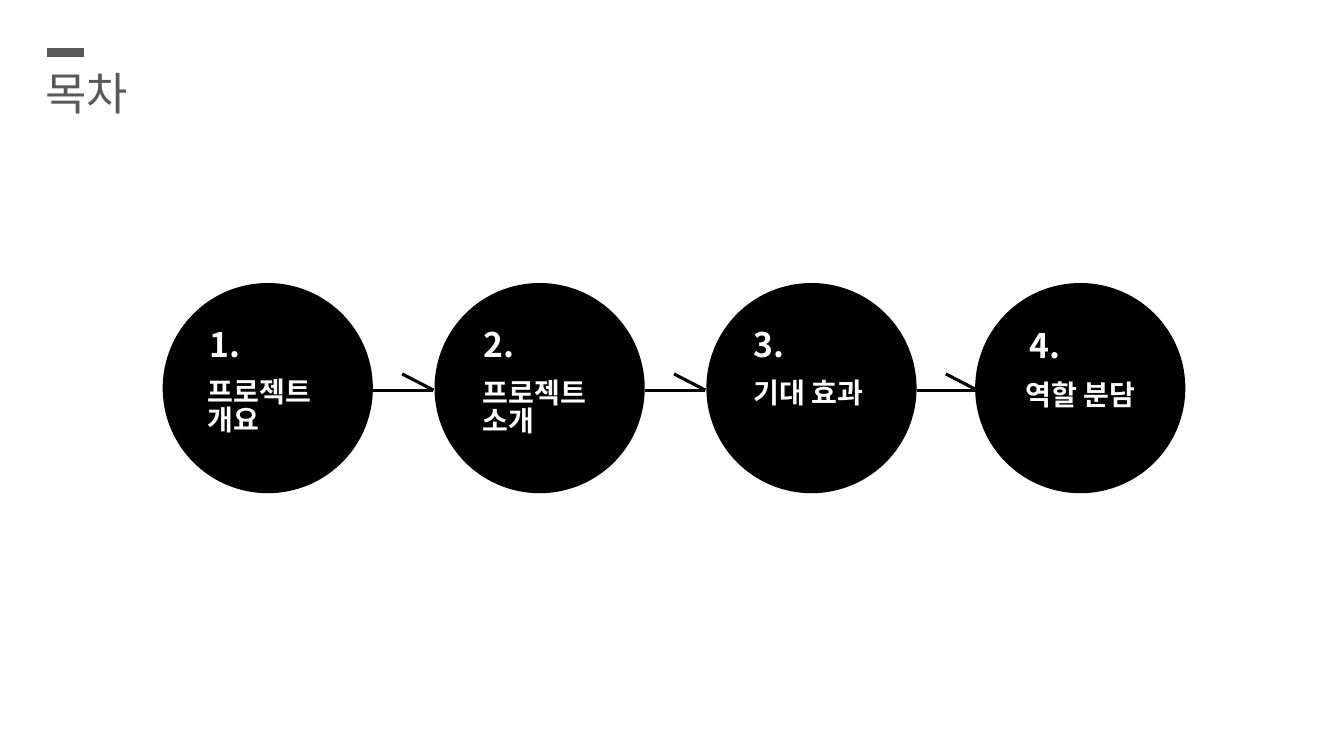
"""Build the contents slide: four numbered circles joined by half arrows."""
from dataclasses import dataclass

from lxml import etree
from pptx import Presentation
from pptx import util as u
from pptx.dml.color import RGBColor
from pptx.enum import shapes, text
from pptx.oxml.ns import qn

COLORS = {"black": "000000", "grey": "595959", "white": "FFFFFF"}
FONT = "Noto Sans CJK KR"
DIAMETER, CIRCLE_TOP = 2.08, 2.8
ARROW_Y, ARROW_LENGTH = 3.86, 0.6
BARB_WIDTH, BARB_HEIGHT = 0.31, 0.16


@dataclass(frozen=True)
class Box:
    """Position and size in inches."""
    left: float
    top: float
    width: float
    height: float


@dataclass(frozen=True)
class Topic:
    """One circle with its number and label lines."""
    left: float
    number: str
    number_box: Box
    lines: tuple[str, ...]
    label_box: Box


TOPICS = (
    Topic(1.61, "1.", Box(1.98, 3.19, 0.74, 0.5),
          ("프로젝트", "개요"), Box(1.96, 3.68, 1.46, 0.77)),
    Topic(4.3, "2.", Box(4.69, 3.19, 0.74, 0.5),
          ("프로젝트", "소개"), Box(4.68, 3.69, 1.49, 0.77)),
    Topic(6.99, "3.", Box(7.36, 3.19, 0.74, 0.5),
          ("기대 효과",), Box(7.36, 3.69, 1.56, 0.44)),
    Topic(9.65, "4.", Box(10.09, 3.2, 0.74, 0.5),
          ("역할 분담",), Box(10.05, 3.71, 1.56, 0.44)),
)


def rgb(name: str) -> RGBColor:
    """Return a named colour."""
    return RGBColor.from_string(COLORS[name])


def place(sp, box: Box) -> None:
    """Move and size a shape."""
    sp.left, sp.top = u.Inches(box.left), u.Inches(box.top)
    sp.width, sp.height = u.Inches(box.width), u.Inches(box.height)


def write(sp, lines: tuple[str, ...], size: int, color: str, bold: bool) -> None:
    """Fill a shape with one paragraph per line."""
    tf = sp.text_frame
    tf.word_wrap = True
    tf.auto_size = text.MSO_AUTO_SIZE.NONE
    tf.vertical_anchor = text.MSO_ANCHOR.TOP
    tf.margin_left = tf.margin_right = u.Inches(0.1)
    tf.margin_top, tf.margin_bottom = u.Inches(0.08), u.Inches(0.05)
    for i, line in enumerate(lines):
        p = tf.add_paragraph() if i else tf.paragraphs[0]
        p.alignment = text.PP_ALIGN.LEFT
        p.line_spacing = 0.83
        p.space_before = u.Pt(0)
        r = p.add_run()
        r.text = line
        r.font.name, r.font.size, r.font.bold = FONT, u.Pt(size), bold
        r.font.color.rgb = rgb(color)
        ea = etree.SubElement(r.font._element, qn("a:ea"))
        ea.set("typeface", FONT)


def add_label(s, box: Box, lines: tuple[str, ...], size: int) -> None:
    """Add bold white text."""
    sp = s.shapes.add_textbox(0, 0, 0, 0)
    place(sp, box)
    write(sp, lines, size, "white", True)


def add_circle(s, left: float) -> None:
    """Add a black circle."""
    sp = s.shapes.add_shape(shapes.MSO_SHAPE.OVAL, 0, 0, 0, 0)
    place(sp, Box(left, CIRCLE_TOP, DIAMETER, DIAMETER))
    sp.shadow.inherit = False
    sp.fill.solid()
    sp.fill.fore_color.rgb = rgb("black")
    sp.line.fill.background()


def add_line(s, x1: float, y1: float, x2: float, y2: float,
             color: str, width: float) -> None:
    """Add a straight line without shadow."""
    c = s.shapes.add_connector(shapes.MSO_CONNECTOR.STRAIGHT, u.Inches(x1),
                               u.Inches(y1), u.Inches(x2), u.Inches(y2))
    c.line.color.rgb = rgb(color)
    c.line.width = u.Pt(width)
    etree.SubElement(c._element.spPr, qn("a:effectLst"))


def add_arrow(s, left: float) -> None:
    """Add a shaft with a single upper barb."""
    tip = left + ARROW_LENGTH
    add_line(s, left, ARROW_Y, tip, ARROW_Y, "black", 2.25)
    add_line(s, tip - BARB_WIDTH, ARROW_Y - BARB_HEIGHT, tip, ARROW_Y, "black", 2.25)


def main() -> None:
    """Create and save the slide."""
    prs = Presentation()
    prs.slide_width, prs.slide_height = u.Inches(13.3), u.Inches(7.48)
    s = prs.slides.add_slide(prs.slide_layouts[5])
    place(s.shapes.title, Box(0.35, 0.66, 3.86, 0.64))
    write(s.shapes.title, ("목차",), 32, "grey", False)
    add_line(s, 0.47, 0.52, 0.83, 0.52, "grey", 6)
    for topic in TOPICS:
        add_circle(s, topic.left)
    for topic in TOPICS[:-1]:
        add_arrow(s, topic.left + DIAMETER)
    for topic in TOPICS:
        add_label(s, topic.number_box, (topic.number,), 24)
        add_label(s, topic.label_box, topic.lines, 20)
    prs.save("out.pptx")


if __name__ == "__main__":
    main()
